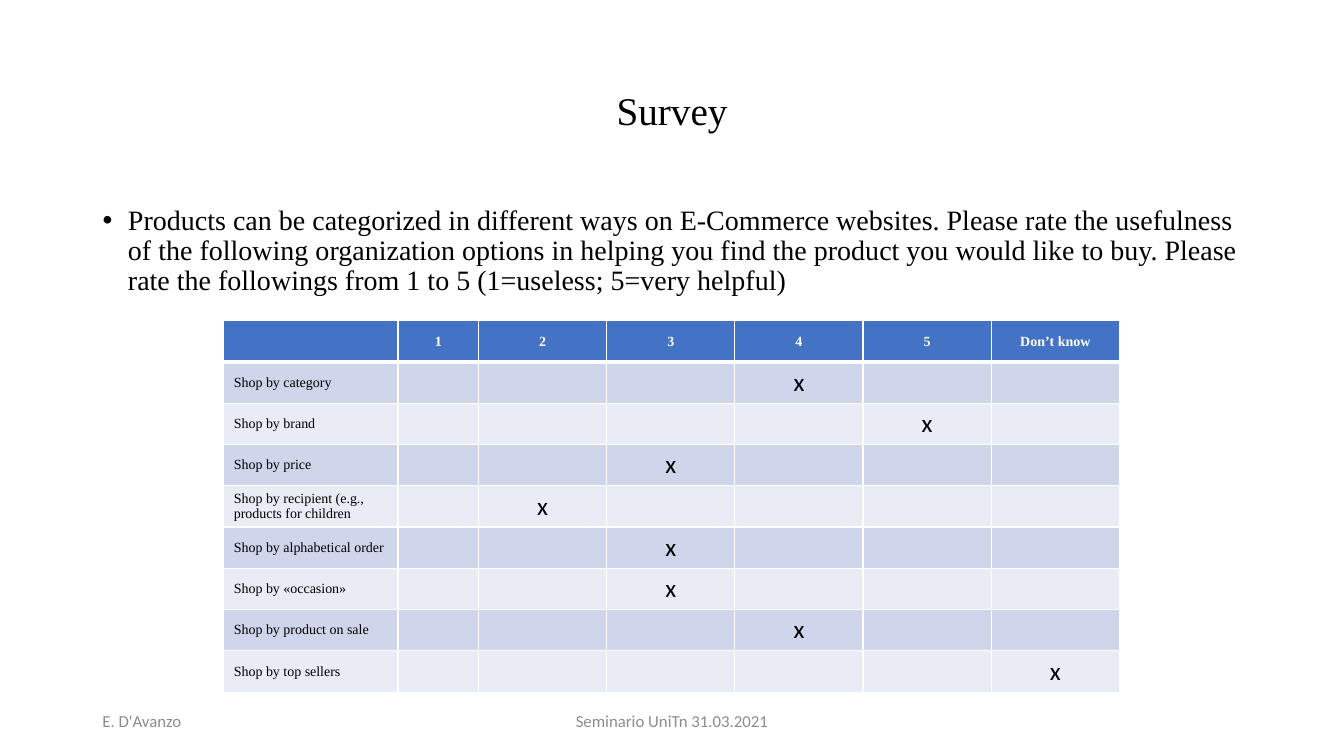
from dataclasses import dataclass

from lxml.etree import SubElement
from pptx import Presentation
from pptx.dml.color import RGBColor
from pptx.enum.text import MSO_ANCHOR, MSO_AUTO_SIZE, PP_ALIGN
from pptx.oxml import parse_xml
from pptx.oxml.ns import nsdecls, qn
from pptx.util import Cm, Pt


@dataclass(frozen=True)
class Theme:
    serif: str = "Times New Roman"
    sans: str = "Calibri"
    ink: str = "000000"
    paper: str = "FFFFFF"
    muted: str = "8C8C8C"
    header: str = "4472C4"
    bands: tuple = ("CFD5EA", "E9EBF5")
    title_size: int = 28
    body_size: int = 20
    label_size: int = 10
    mark_size: int = 18
    footer_size: int = 12


def apply(target, formats):
    for attribute, value in formats.items():
        setattr(target, attribute, value)


class SurveySlide:
    def __init__(self, presentation, theme):
        self.theme = theme
        self.slide = presentation.slides.add_slide(presentation.slide_layouts[1])

    def place(self, shape, left, top, width, height):
        apply(shape, {"left": Cm(left), "top": Cm(top),
                      "width": Cm(width), "height": Cm(height)})

    def add_text(self, frame, text, size, font, color, bold=False, **paragraph_format):
        paragraph = frame.paragraphs[0]
        apply(paragraph, paragraph_format)
        run = paragraph.add_run()
        run.text = text
        apply(run.font, {"size": Pt(size), "name": font, "bold": bold})
        run.font.color.rgb = RGBColor.from_string(color)
        return paragraph

    def title(self, text, box):
        heading = self.slide.shapes.title
        self.place(heading, *box)
        apply(heading.text_frame, {"vertical_anchor": MSO_ANCHOR.MIDDLE,
                                   "auto_size": MSO_AUTO_SIZE.NONE})
        self.add_text(heading.text_frame, text, self.theme.title_size, self.theme.serif,
                      self.theme.ink, alignment=PP_ALIGN.CENTER, line_spacing=0.9)

    def bullet(self, text, box):
        question = self.slide.placeholders[1]
        self.place(question, *box)
        question.text_frame.auto_size = MSO_AUTO_SIZE.NONE
        paragraph = self.add_text(question.text_frame, text, self.theme.body_size,
                                  self.theme.serif, self.theme.ink,
                                  line_spacing=0.9, space_before=Pt(10))
        properties = paragraph._p.get_or_add_pPr()
        properties.set("marL", str(Cm(0.64)))
        properties.set("indent", str(-Cm(0.64)))
        SubElement(properties, qn("a:buFont"), typeface="Arial")
        SubElement(properties, qn("a:buChar"), char="•")

    def footer(self, text, box, alignment):
        note = self.slide.shapes.add_textbox(*map(Cm, box))
        apply(note.text_frame, {"word_wrap": True,
                                "vertical_anchor": MSO_ANCHOR.MIDDLE})
        self.add_text(note.text_frame, text, self.theme.footer_size, self.theme.sans,
                      self.theme.muted, alignment=alignment)

    def style_cell(self, cell, fill, borders):
        cell.vertical_anchor = MSO_ANCHOR.MIDDLE
        cell.fill.solid()
        cell.fill.fore_color.rgb = RGBColor.from_string(fill)
        properties = cell._tc.get_or_add_tcPr()
        # Border lines come before the fill
        for position, (side, width) in enumerate(borders.items()):
            properties.insert(position, parse_xml(
                f'<a:ln{side} {nsdecls("a")} w="{Pt(width)}"><a:solidFill>'
                f'<a:srgbClr val="{self.theme.paper}"/></a:solidFill></a:ln{side}>'))

    def rating_table(self, ratings, answers, left, top, widths, row_height):
        theme = self.theme
        table = self.slide.shapes.add_table(
            len(answers) + 1, len(widths), Cm(left), Cm(top),
            Cm(sum(widths)), Cm(row_height * (len(answers) + 1))).table
        for column, width in zip(table.columns, widths):
            column.width = Cm(width)
        for row in table.rows:
            row.height = Cm(row_height)

        # Fills and borders, with a heavier line below the header
        for r, row in enumerate(table.rows):
            fill = theme.bands[(r - 1) % 2] if r else theme.header
            borders = {"L": 1, "R": 1, "T": 3 if r == 1 else 1, "B": 1 if r else 3}
            for cell in row.cells:
                self.style_cell(cell, fill, borders)

        # Header, option labels and chosen ratings
        for c, rating in enumerate(ratings, start=1):
            self.add_text(table.cell(0, c).text_frame, rating, theme.label_size,
                          theme.serif, theme.paper, True, alignment=PP_ALIGN.CENTER)
        for r, (option, rating) in enumerate(answers.items(), start=1):
            self.add_text(table.cell(r, 0).text_frame, option, theme.label_size,
                          theme.serif, theme.ink)
            chosen = table.cell(r, ratings.index(rating) + 1)
            self.add_text(chosen.text_frame, "x", theme.mark_size, theme.sans,
                          theme.ink, alignment=PP_ALIGN.CENTER)


RATINGS = ["1", "2", "3", "4", "5", "Don’t know"]
ANSWERS = {
    "Shop by category": "4",
    "Shop by brand": "5",
    "Shop by price": "3",
    "Shop by recipient (e.g., products for children": "2",
    "Shop by alphabetical order": "3",
    "Shop by «occasion»": "3",
    "Shop by product on sale": "4",
    "Shop by top sellers": "Don’t know",
}
QUESTION = (
    "Products can be categorized in different ways on E-Commerce websites. "
    "Please rate the usefulness of the following organization options in helping "
    "you find the product you would like to buy. Please rate the followings "
    "from 1 to 5 (1=useless; 5=very helpful)")


def main():
    presentation = Presentation()
    apply(presentation, {"slide_width": Cm(33.87), "slide_height": Cm(19.05)})
    survey = SurveySlide(presentation, Theme())

    # Title and question
    survey.title("Survey", (2.33, 1.01, 29.21, 3.68))
    survey.bullet(QUESTION, (2.33, 5.07, 29.21, 12.09))

    # Ratings
    survey.rating_table(RATINGS, ANSWERS, 5.64, 8.08,
                        [4.39, 2.03] + [3.23] * 5, 1.04)

    # Footer
    survey.footer("Seminario UniTn 31.03.2021", (11.22, 17.66, 11.43, 1.01),
                  PP_ALIGN.CENTER)
    survey.footer("E. D'Avanzo", (2.33, 17.66, 7.62, 1.01), PP_ALIGN.LEFT)

    presentation.save("out.pptx")


if __name__ == "__main__":
    main()
